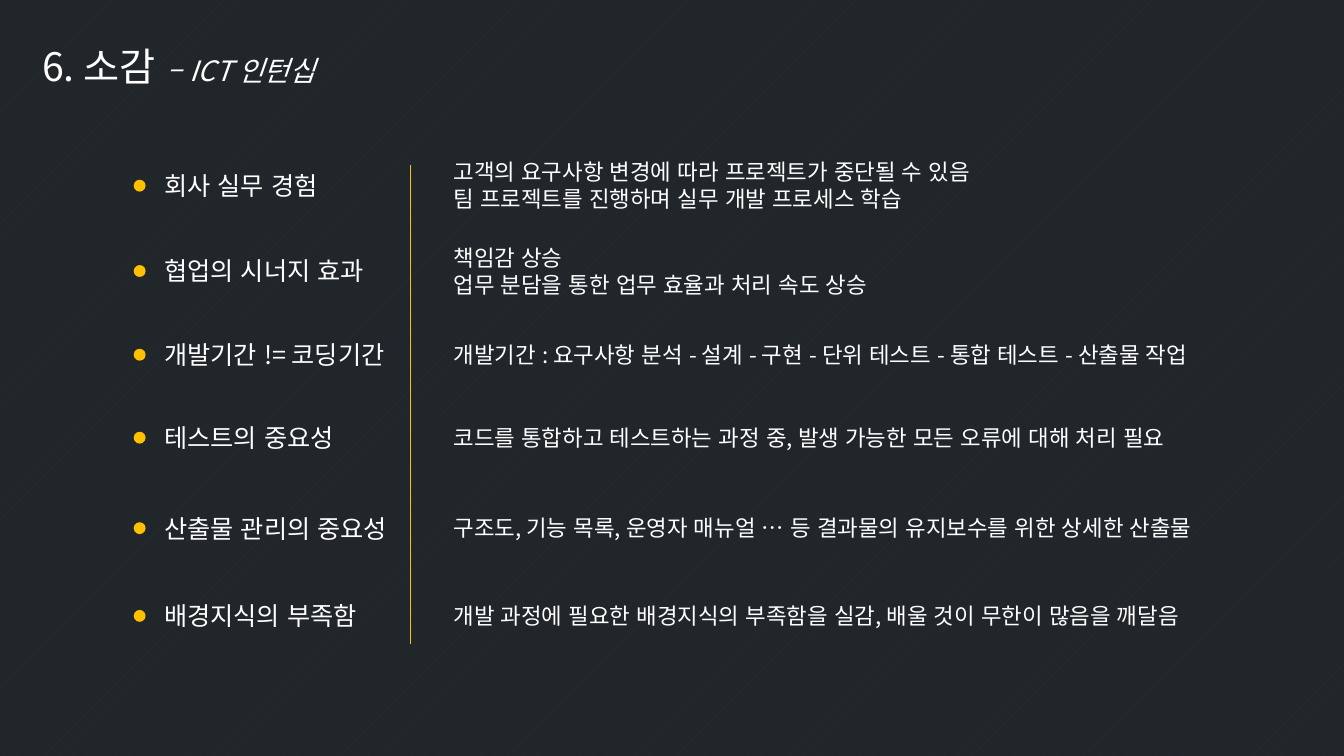
from lxml import etree
from pptx import Presentation
from pptx import util as u
from pptx.dml.color import RGBColor
from pptx.enum import dml, lang, shapes, text
from pptx.oxml.ns import qn

FONT = "Noto Sans CJK KR"
WHITE, AMBER = "FFFFFF", "FFC000"
DARK, DARK_DOTS = "21262A", "282F34"


def colour(value):
    return RGBColor.from_string(value)


class Painter:
    """Holds the text style and the current slide."""

    frame_style = {
        "word_wrap": True,
        "auto_size": text.MSO_AUTO_SIZE.SHAPE_TO_FIT_TEXT,
        "vertical_anchor": text.MSO_ANCHOR.TOP,
    }
    font_style = {"name": FONT, "language_id": lang.MSO_LANGUAGE_ID.KOREAN}

    def __init__(self, page):
        self.page = page

    def background(self, back, front):
        fill = self.page.background.fill
        fill.patterned()
        fill.pattern = dml.MSO_PATTERN.PERCENT_5
        fill.fore_color.rgb = colour(front)
        fill.back_color.rgb = colour(back)

    def fill_text(self, box, paragraphs):
        """Each paragraph is a list of (wording, font values) pairs."""
        frame = box.text_frame
        for name, value in self.frame_style.items():
            setattr(frame, name, value)
        for index, spans in enumerate(paragraphs):
            para = frame.add_paragraph() if index else frame.paragraphs[0]
            para.alignment = text.PP_ALIGN.LEFT
            for wording, values in spans:
                span = para.add_run()
                span.text = wording
                span.font.color.rgb = colour(WHITE)
                for name, value in {**self.font_style, **values}.items():
                    setattr(span.font, name, value)
                latin = span.font._element.find(qn("a:latin"))
                east_asian = etree.Element(qn("a:ea"), typeface=FONT)
                latin.addnext(east_asian)

    def title(self, left, top, width, height, spans):
        box = self.page.shapes.title
        place = {"left": left, "top": top, "width": width, "height": height}
        for name, value in place.items():
            setattr(box, name, u.Cm(value))
        self.fill_text(box, [spans])

    def text_box(self, left, top, width, height, lines, size):
        box = self.page.shapes.add_textbox(*map(u.Cm, (left, top, width, height)))
        self.fill_text(box, [[(line, {"size": u.Pt(size)})] for line in lines])

    def dot(self, left, top, size):
        dot = self.page.shapes.add_shape(
            shapes.MSO_SHAPE.OVAL, *map(u.Cm, (left, top, size, size)))
        dot.shadow.inherit = False
        dot.fill.solid()
        dot.fill.fore_color.rgb = colour(AMBER)
        dot.line.fill.background()

    def line(self, left, top, right, bottom):
        line = self.page.shapes.add_connector(
            shapes.MSO_CONNECTOR.STRAIGHT, *map(u.Cm, (left, top, right, bottom)))
        line.line.color.rgb = colour(AMBER)
        line.line.width = u.Pt(1)
        etree.SubElement(line._element.spPr, qn("a:effectLst"))


# Label top, label, detail width, detail lines
LESSONS = [
    (4.17, "회사 실무 경험", 18.54,
     ["고객의 요구사항 변경에 따라 프로젝트가 중단될 수 있음",
      "팀 프로젝트를 진행하며 실무 개발 프로세스 학습"]),
    (6.32, "협업의 시너지 효과", 18.54,
     ["책임감 상승", "업무 분담을 통한 업무 효율과 처리 속도 상승"]),
    (8.43, "개발기간 != 코딩기간", 19.18,
     ["개발기간 : 요구사항 분석 - 설계 - 구현 - 단위 테스트 - 통합 테스트 - 산출물 작업"]),
    (10.52, "테스트의 중요성", 18.97,
     ["코드를 통합하고 테스트하는 과정 중, 발생 가능한 모든 오류에 대해 처리 필요"]),
    (12.8, "산출물 관리의 중요성", 19.63,
     ["구조도, 기능 목록, 운영자 매뉴얼 … 등 결과물의 유지보수를 위한 상세한 산출물"]),
    (15.01, "배경지식의 부족함", 19.96,
     ["개발 과정에 필요한 배경지식의 부족함을 실감, 배울 것이 무한이 많음을 깨달음"]),
]


def main():
    deck = Presentation()
    deck.slide_width, deck.slide_height = u.Cm(33.87), u.Cm(19.05)
    painter = Painter(deck.slides.add_slide(deck.slide_layouts[5]))

    # Background and title
    painter.background(DARK, DARK_DOTS)
    painter.title(0.81, 0.94, 9.25, 1.45, [
        ("6. 소감 ", {"size": u.Pt(28)}),
        ("– ICT 인턴십", {"size": u.Pt(20), "italic": True}),
    ])

    # Lessons: dot, label and detail
    for top, label, width, details in LESSONS:
        painter.dot(3.37, top + 0.36, 0.3)
        painter.text_box(3.89, top, 6.45, 1.02, [label], 18)
        shift, height = (-0.3, 1.63) if len(details) > 1 else (0.04, 0.94)
        painter.text_box(11.18, top + shift, width, height, details, 16)

    # Divider between labels and details
    painter.line(10.34, 4.17, 10.34, 16.23)

    deck.save("out.pptx")


if __name__ == "__main__":
    main()
